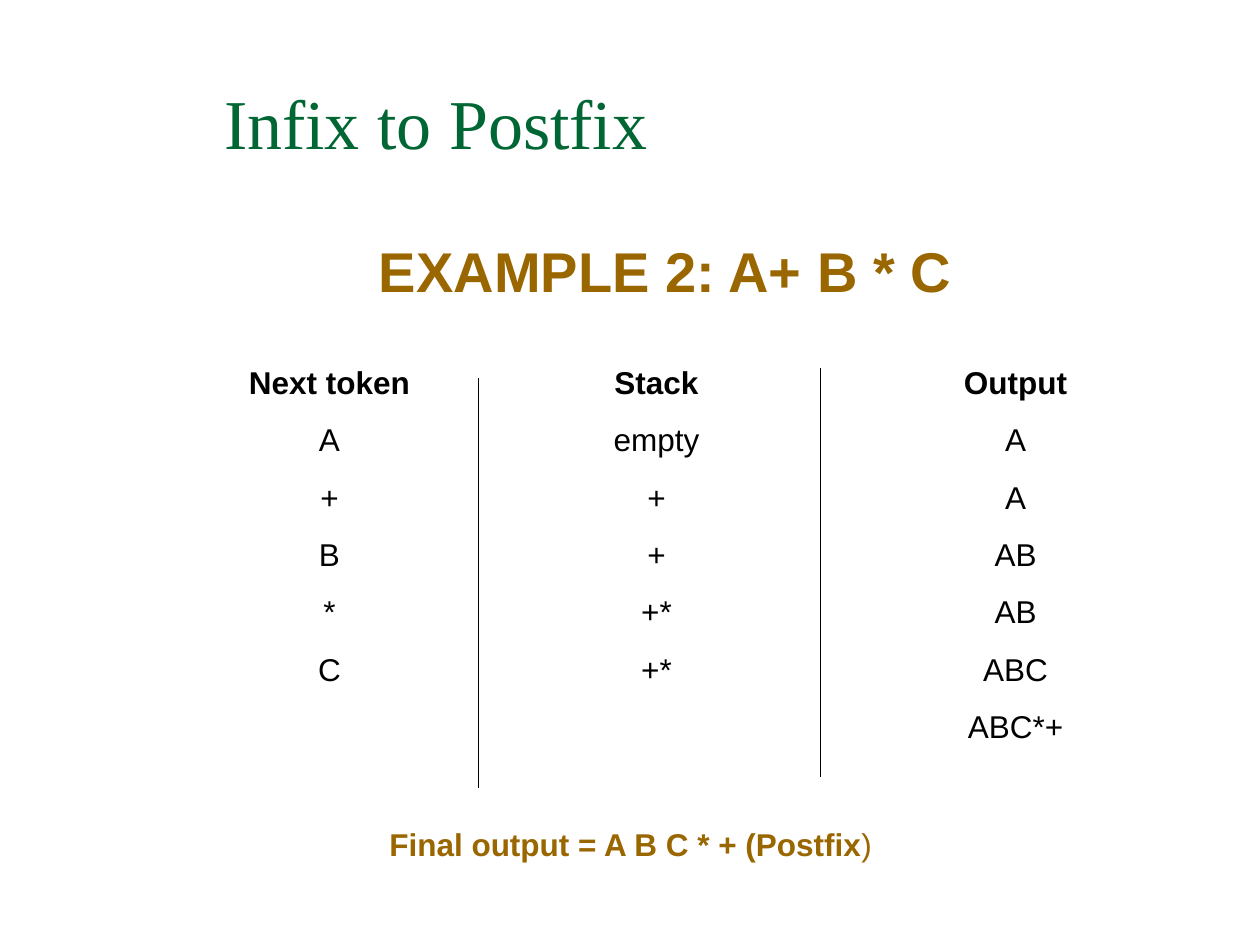
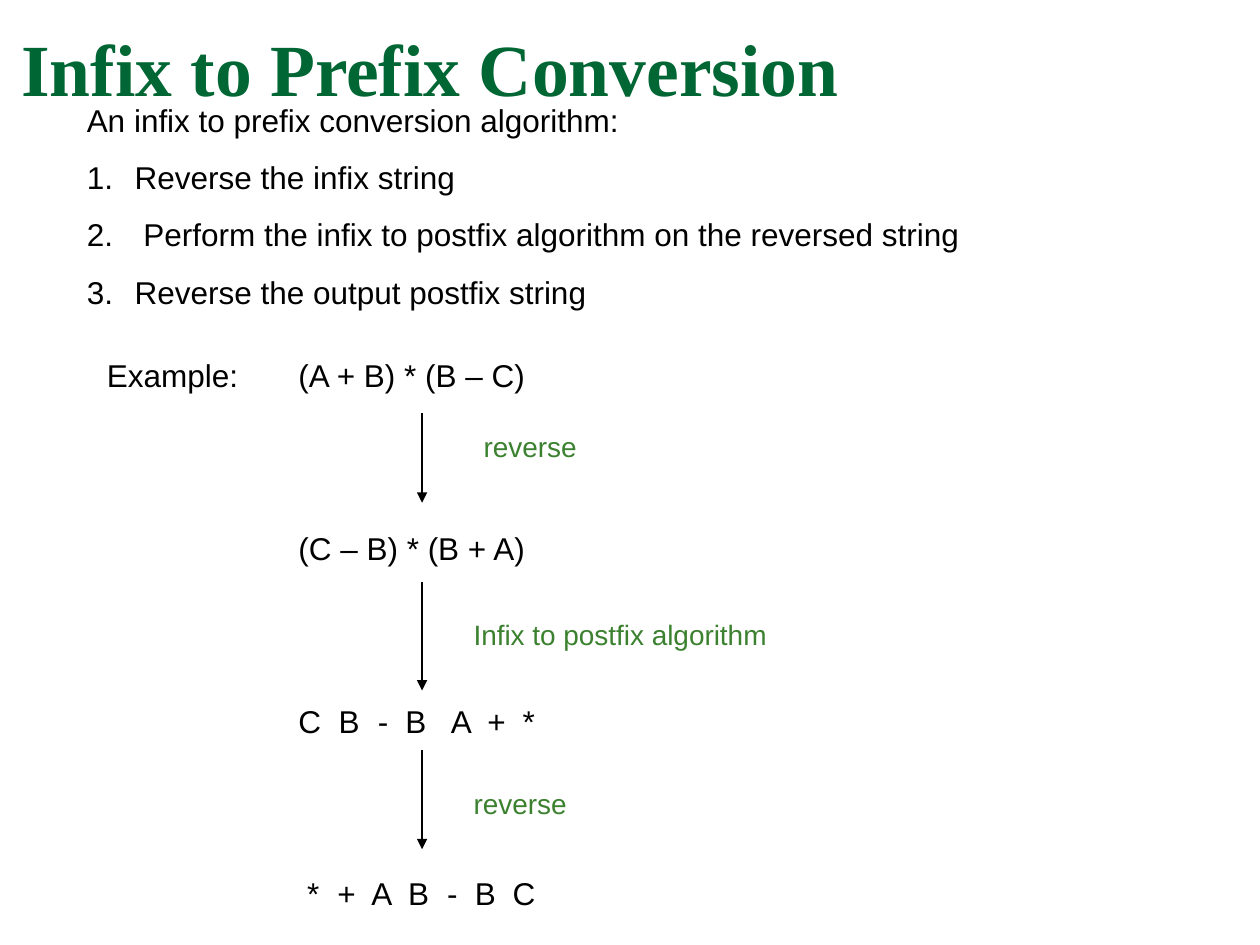
from lxml.etree import SubElement
from pptx import Presentation
from pptx.dml.color import RGBColor
from pptx.enum.shapes import MSO_CONNECTOR
from pptx.enum.text import PP_ALIGN
from pptx.oxml.ns import qn
from pptx.util import Inches, Pt

COLORS = {"title": "006633", "accent": "996600", "body": "000000", "label": "3B812F"}
COLS, ROWS = 100, 75


class Deck:
    title_font = "Times New Roman"
    body_font = "Arial"
    leading = 1.2
    gap = 11.2

    def __init__(self):
        self.prs = Presentation()
        self.prs.slide_width, self.prs.slide_height = Inches(10), Inches(7.5)
        self.s = None

    def x(self, cols):
        return round(self.prs.slide_width * cols / COLS)

    def y(self, rows):
        return round(self.prs.slide_height * rows / ROWS)

    def new_slide(self):
        self.s = self.prs.slides.add_slide(self.prs.slide_layouts[6])

    def style(self, r, size, color, bold, font):
        r.font.name = font
        r.font.size = Pt(size)
        r.font.bold = bold
        r.font.color.rgb = RGBColor.from_string(COLORS[color])

    def text(self, box, lines, size=18, color="body", bold=False, align=PP_ALIGN.LEFT,
             font=body_font, bold_first=False):
        left, top, width, height = box
        sp = self.s.shapes.add_textbox(self.x(left), self.y(top), self.x(width), self.y(height))
        tf = sp.text_frame
        tf.word_wrap = True
        tf.text = "\n".join(lines)
        for i, p in enumerate(tf.paragraphs):
            p.alignment = align
            p.line_spacing = Pt(size * self.leading)
            p.space_before = Pt(self.gap if i else 0)
            for r in p.runs:
                self.style(r, size, color, bold or (bold_first and i == 0), font)
        return tf

    def title(self, box, text, size, bold=False):
        self.text(box, [text], size, "title", bold, font=self.title_font)

    def number(self, p, indent):
        pPr = p._p.get_or_add_pPr()
        pPr.set("marL", str(self.x(indent)))
        pPr.set("indent", str(-self.x(indent)))
        clr = SubElement(pPr, qn("a:buClr"))
        SubElement(clr, qn("a:srgbClr"), val=COLORS["body"])
        SubElement(pPr, qn("a:buAutoNum"), type="arabicPeriod")

    def tabs(self, p, stops):
        tab_list = SubElement(p._p.get_or_add_pPr(), qn("a:tabLst"))
        for stop in stops:
            SubElement(tab_list, qn("a:tab"), pos=str(self.x(stop)), algn="l")

    def vline(self, col, top, bottom, arrow=False):
        cx = self.s.shapes.add_connector(MSO_CONNECTOR.STRAIGHT, self.x(col), self.y(top),
                                         self.x(col), self.y(bottom))
        cx.line.width = Pt(0.75)
        cx.line.color.rgb = RGBColor.from_string(COLORS["body"])
        if arrow:
            SubElement(cx.line._get_or_add_ln(), qn("a:tailEnd"), type="triangle")
        SubElement(cx._element.spPr, qn("a:effectLst"))


def postfix_slide(deck):
    deck.new_slide()
    deck.title((16.8, 5.8, 74.6, 12.5), "Infix to Postfix", 40)
    deck.text((13.9, 18.3, 77.8, 14.5), ["EXAMPLE 2: A+ B * C"], 32, "accent", True,
              PP_ALIGN.CENTER)
    trace = [
        (15.3, 21.7, ["Next token", "A", "+", "B", "*", "C"]),
        (41.7, 20.8, ["Stack", "empty", "+", "+", "+*", "+*"]),
        (70.2, 20.8, ["Output", "A", "A", "AB", "AB", "ABC", "ABC*+"]),
    ]
    for left, width, cells in trace:
        deck.text((left, 28.3, width, 31.4), cells, align=PP_ALIGN.CENTER, bold_first=True)
    tf = deck.text((4.2, 65, 91.7, 4), ["Final output = A B C * + (Postfix"], 18, "accent",
                   True, PP_ALIGN.CENTER)
    r = tf.paragraphs[0].add_run()
    r.text = ")"
    deck.style(r, 18, "accent", False, deck.body_font)
    for col, top in [(38, 30), (65.1, 29.2)]:
        deck.vline(col, top, top + 32.5)


def prefix_slide(deck):
    deck.new_slide()
    deck.title((0.7, 1.3, 99.3, 6), "Infix to Prefix Conversion", 42, True)
    tf = deck.text((5.9, 7.5, 79.5, 17.7), [
        "An infix to prefix conversion algorithm:",
        "Reverse the infix string",
        "Perform the infix to postfix algorithm on the reversed string",
        "Reverse the output postfix string",
    ])
    for p, indent in zip(tf.paragraphs[1:], [3.8, 4.5, 3.8]):
        deck.number(p, indent)

    stage_top, stage_step = 27.8, 13.7
    deck.text((7.5, stage_top, 14, 4), ["Example:"])
    stages = [
        (22.7, "(A + B) * (B – C)", []),
        (22.7, "(C – B) * (B + A)", []),
        (22.7, "C\tB\t-\tB\tA\t+\t*", [3.2, 6.3, 8.5, 12.1, 15, 17.8]),
        (23.4, "*\t+\tA\tB\t-\tB\tC", [2.4, 5.1, 8, 11.1, 13.3, 16.3]),
    ]
    for i, (left, expression, stops) in enumerate(stages):
        tf = deck.text((left, stage_top + i * stage_step, 30, 4), [expression])
        if stops:
            deck.tabs(tf.paragraphs[0], stops)

    steps = [
        (32.8, 39.9, 37.4, 33.6, "reverse"),
        (46.2, 54.8, 36.6, 48.5, "Infix to postfix algorithm"),
        (59.5, 67.4, 36.6, 61.9, "reverse"),
    ]
    for start, end, left, top, label in steps:
        deck.vline(33.5, start, end, arrow=True)
        deck.text((left, top, 26.8, 3.7), [label], 16, "label")


def main():
    deck = Deck()
    postfix_slide(deck)
    prefix_slide(deck)
    deck.prs.save("out.pptx")


if __name__ == "__main__":
    main()
